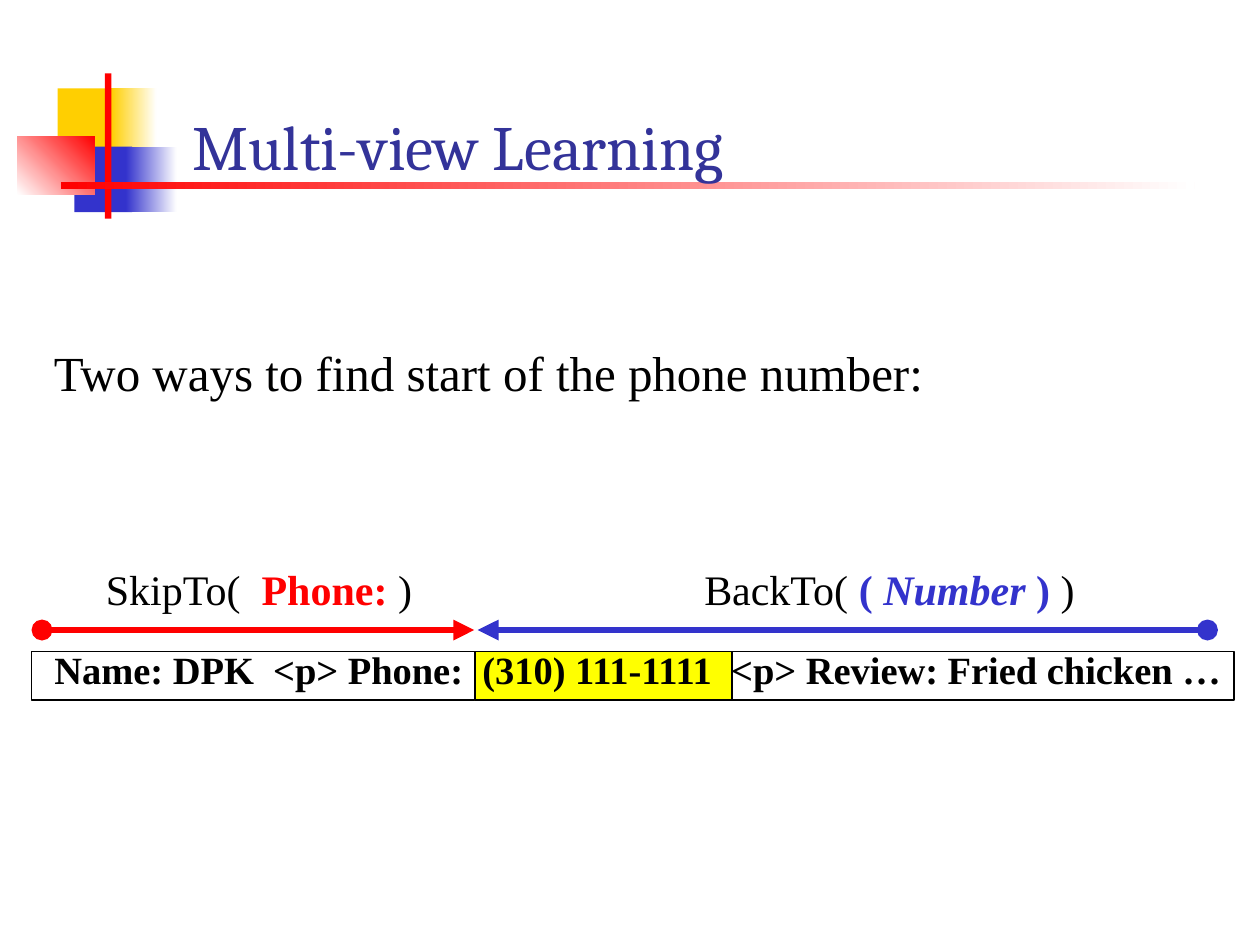
"""Build the multi-view learning slide."""
from lxml.etree import SubElement
from pptx import Presentation
from pptx.dml.color import RGBColor
from pptx.enum.shapes import MSO_CONNECTOR, MSO_SHAPE
from pptx.enum.text import MSO_ANCHOR, PP_ALIGN
from pptx.oxml.ns import qn
from pptx.util import Pt

WHITE = RGBColor(0xFF, 0xFF, 0xFF)
BLACK = RGBColor(0, 0, 0)
RED = RGBColor(0xFF, 0, 0)
BLUE = RGBColor(0x33, 0x33, 0xCC)
GOLD = RGBColor(0xFF, 0xCF, 0x01)
YELLOW = RGBColor(0xFF, 0xFF, 0)
INDIGO = RGBColor(0x33, 0x33, 0x99)
SERIF = "Times New Roman"

# left, top, width, height, colours (two make a gradient), gradient angle
ORNAMENTS = [
    (33, 50.5, 34.5, 37.5, [GOLD], 0),
    (63.5, 50.5, 26, 37.5, [GOLD, WHITE], 0),
    (42.5, 83.75, 33, 37.5, [BLUE], 0),
    (72, 83.75, 29, 37.5, [BLUE, WHITE], 0),
    (10, 77.75, 44, 33.5, [WHITE, RED], 45),
    (60, 42, 3.75, 83, [RED], 0),
    (34.75, 104.25, 648, 3.75, [RED, WHITE], 0),
]
RECORD_TOP, RECORD_HEIGHT = 372.25, 28
RECORD_CELLS = [(18, 687, WHITE), (271.25, 147, YELLOW)]
RECORD = "Name: DPK  <p> Phone:  (310) 111-1111  <p> Review: Fried chicken …"

ARROW_Y = 360
ARROWS = [(24, 271, RED), (690, 273, BLUE)]

# left, top, width, height, size, alignment, wrap, spans of (text, colour, bold, italic)
TEXTS = [
    (24, 365.75, 696, 54, 22, PP_ALIGN.LEFT, True, [(RECORD, BLACK, True, False)]),
    (52.5, 318.25, 191, 36, 24, PP_ALIGN.CENTER, False, [
        ("SkipTo(  ", BLACK, False, False),
        ("Phone:", RED, True, False),
        (" )", BLACK, False, False)]),
    (394.5, 318.25, 227.5, 36, 24, PP_ALIGN.CENTER, False, [
        ("BackTo( ", BLACK, False, False),
        ("( ", BLUE, True, False),
        ("Number", BLUE, True, True),
        (" ) ", BLUE, True, False),
        (")", BLACK, False, False)]),
    (23.75, 192.25, 513.5, 41, 28, PP_ALIGN.LEFT, False, [
        ("Two ways to find start of the phone number:", BLACK, False, False)]),
]
TITLE = (103, 48, 613.5, 60, 36, PP_ALIGN.LEFT, True,
         [("Multi-view Learning", INDIGO, False, False)])


def add_rectangle(slide, left, top, width, height, colours, angle=0, outlined=False):
    shape = slide.shapes.add_shape(
        MSO_SHAPE.RECTANGLE, Pt(left), Pt(top), Pt(width), Pt(height))
    shape.shadow.inherit = False
    if len(colours) == 1:
        shape.fill.solid()
        shape.fill.fore_color.rgb = colours[0]
    else:
        shape.fill.gradient()
        shape.fill.gradient_angle = angle
        for stop, colour in zip(shape.fill.gradient_stops, colours):
            stop.color.rgb = colour
    if outlined:
        shape.line.color.rgb = BLACK
        shape.line.width = Pt(1)
    else:
        shape.line.fill.background()


def add_text(slide, left, top, width, height, size, alignment, wrap, spans,
             font=SERIF, anchor=MSO_ANCHOR.TOP):
    box = slide.shapes.add_textbox(Pt(left), Pt(top), Pt(width), Pt(height))
    frame = box.text_frame
    frame.word_wrap = wrap
    frame.vertical_anchor = anchor
    para = frame.paragraphs[0]
    para.alignment = alignment
    for text, colour, bold, italic in spans:
        span = para.add_run()
        span.text = text
        span.font.name = font
        span.font.size = Pt(size)
        span.font.bold = bold
        span.font.italic = italic
        span.font.color.rgb = colour


def add_arrow(slide, start, end, colour):
    arrow = slide.shapes.add_connector(
        MSO_CONNECTOR.STRAIGHT, Pt(start), Pt(ARROW_Y), Pt(end), Pt(ARROW_Y))
    arrow.line.color.rgb = colour
    arrow.line.width = Pt(4)
    outline = arrow.line._get_or_add_ln()
    SubElement(outline, qn("a:headEnd"), type="oval")
    SubElement(outline, qn("a:tailEnd"), type="triangle")
    SubElement(arrow._element.spPr, qn("a:effectLst"))


def main():
    deck = Presentation()
    deck.slide_width, deck.slide_height = Pt(720), Pt(540)
    slide = deck.slides.add_slide(deck.slide_layouts[6])
    for ornament in ORNAMENTS:
        add_rectangle(slide, *ornament)
    for left, width, colour in RECORD_CELLS:
        add_rectangle(slide, left, RECORD_TOP, width, RECORD_HEIGHT, [colour], outlined=True)
    for arrow in ARROWS:
        add_arrow(slide, *arrow)
    for text in TEXTS:
        add_text(slide, *text)
    add_text(slide, *TITLE, font="Cambria", anchor=MSO_ANCHOR.BOTTOM)
    deck.save("out.pptx")


if __name__ == "__main__":
    main()
